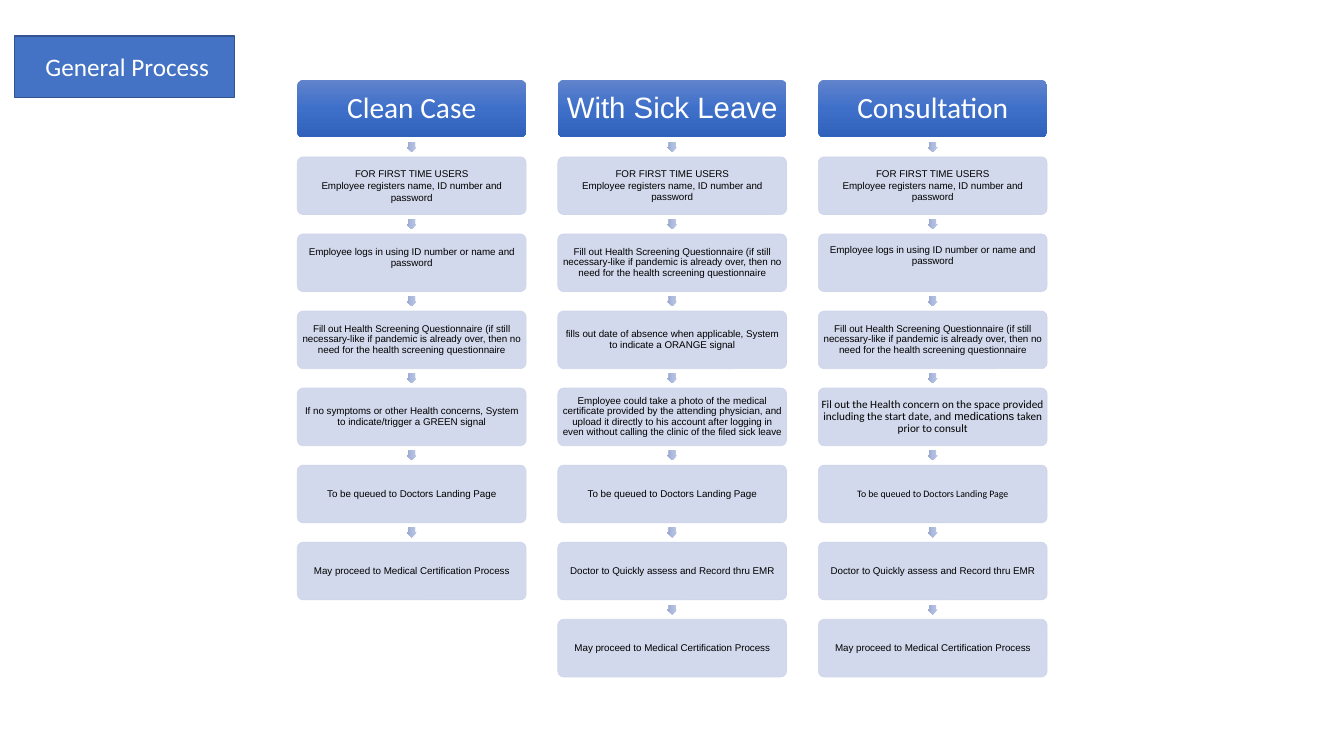
import copy

import pptx
import pptx.dml.color
import pptx.enum.shapes
import pptx.enum.text
import pptx.oxml
import pptx.oxml.ns
import pptx.util

Pt = pptx.util.Pt
SHAPES = pptx.enum.shapes.MSO_SHAPE
CENTER = pptx.enum.text.PP_ALIGN.CENTER
MIDDLE = pptx.enum.text.MSO_ANCHOR.MIDDLE

COLORS = {
    "title": "4472C4", "title_line": "325491", "step": "CFD5EA",
    "white": "FFFFFF", "black": "000000",
}
HEADER_GRADIENT = ["6183CB", "3E70CA", "3062BB"]
ARROW_GRADIENT = ["BBC5E3", "AEBBE0", "98A4CB"]

LEFT, TOP = 212.4, 57
COLUMN_PITCH, ROW_PITCH = 186.1, 55.05
BOX_W, BOX_H = 163.4, 41.2
ARROW = 7.2

TIGHT = {"line_spacing": 0.9, "space_after": Pt(1.5)}
SINGLE = {"line_spacing": 1.0, "space_after": Pt(0)}

REGISTER = ["FOR FIRST TIME USERS", "Employee registers name, ID number and password"]
LOGIN = ["Employee logs in using ID number or name and password"]
SCREENING = ["Fill out Health Screening Questionnaire (if still necessary-like if pandemic "
             "is already over, then no need for the health screening questionnaire"]
QUEUE = ["To be queued to Doctors Landing Page"]
ASSESS = ["Doctor to Quickly assess and Record thru EMR"]
CERTIFY = ["May proceed to Medical Certification Process"]
SIGNAL_GREEN = ["If no symptoms or other Health concerns, System to indicate/trigger "
                "a GREEN signal"]
SIGNAL_ORANGE = ["fills out date of absence when applicable, System to indicate "
                 "a ORANGE signal"]
PHOTO = ["Employee could take a photo of the medical certificate provided by the "
         "attending physician, and upload it directly to his account after logging in "
         "even without calling the clinic of the filed sick leave"]
CONCERN = [[("Fil out the Health concern on the space provided including the start "
             "date, and ", "Calibri"),
            ("medications", "Arial"),
            (" taken prior to consult", "Calibri")]]

# Each process: heading, heading font, steps as (paragraphs, format options)
PROCESSES = [
    ("Clean Case", "Calibri", [
        (REGISTER, {"spacing": SINGLE}), (LOGIN, {"spacing": SINGLE, "lift": 8}),
        (SCREENING, {}), (SIGNAL_GREEN, {}), (QUEUE, {}), (CERTIFY, {})]),
    ("With Sick Leave", "Arial", [
        (REGISTER, {}), (SCREENING, {}), (SIGNAL_ORANGE, {}), (PHOTO, {}),
        (QUEUE, {}), (ASSESS, {}), (CERTIFY, {})]),
    ("Consultation", "Calibri", [
        (REGISTER, {}), (LOGIN, {"lift": 10}), (SCREENING, {}),
        (CONCERN, {"size": 8}), (QUEUE, {"font": "Calibri"}), (ASSESS, {}),
        (CERTIFY, {})]),
]


def rgb(value):
    """Turn a hex string into a colour."""
    return pptx.dml.color.RGBColor.from_string(value)


def set_attrs(obj, values):
    """Set every attribute named in a dict of format values."""
    for name, value in values.items():
        setattr(obj, name, value)


def write_text(sp, paragraphs, font, size, color, margins, spacing=TIGHT):
    """Write centred paragraphs; each is a string or a list of (text, font) runs."""
    tf = sp.text_frame
    sides = ("margin_left", "margin_top", "margin_right", "margin_bottom")
    set_attrs(tf, {side: Pt(m) for side, m in zip(sides, margins)})
    set_attrs(tf, {"word_wrap": True, "vertical_anchor": MIDDLE,
                   "auto_size": pptx.enum.text.MSO_AUTO_SIZE.NONE})
    for i, runs in enumerate(paragraphs):
        p = tf.paragraphs[0] if i == 0 else tf.add_paragraph()
        set_attrs(p, {"alignment": CENTER, **spacing})
        for text, name in [(runs, font)] if isinstance(runs, str) else runs:
            r = p.add_run()
            r.text = text
            set_attrs(r.font, {"name": name, "size": Pt(size)})
            r.font.color.rgb = rgb(COLORS[color])


def fill_gradient(sp, colors):
    """Fill a shape with an even three-colour gradient running downwards."""
    sp.fill.gradient()
    sp.fill.gradient_angle = 270
    stop_list = sp._element.spPr.find(".//" + pptx.oxml.ns.qn("a:gsLst"))
    stop_list.insert(1, copy.deepcopy(stop_list[0]))
    for i, stop in enumerate(sp.fill.gradient_stops):
        stop.position = i / 2
        stop.color.rgb = rgb(colors[i])
    sp.line.fill.background()


def add_title(slide, text):
    """Place the title as a filled box at the upper left."""
    sp = slide.shapes.title
    set_attrs(sp, {"left": Pt(10.4), "top": Pt(25.8),
                   "width": Pt(157), "height": Pt(43.8)})
    sp.fill.solid()
    sp.fill.fore_color.rgb = rgb(COLORS["title"])
    sp.line.color.rgb = rgb(COLORS["title_line"])
    sp.line.width = Pt(1)
    write_text(sp, [text], "Calibri", 18, "white", (4, 0, 0, 0), SINGLE)


def add_box(slide, x, y):
    """Add a rounded box without a shadow."""
    sp = slide.shapes.add_shape(SHAPES.ROUNDED_RECTANGLE,
                                Pt(x), Pt(y), Pt(BOX_W), Pt(BOX_H))
    sp.adjustments[0] = 0.1
    sp.shadow.inherit = False
    return sp


def add_header(slide, x, text, font):
    """Add the heading box of a process."""
    sp = add_box(slide, x, TOP)
    fill_gradient(sp, HEADER_GRADIENT)
    write_text(sp, [text], font, 21, "white", (2, 2, 2, 2))


def add_step(slide, x, y, paragraphs, font="Arial", size=7, spacing=TIGHT, lift=0):
    """Add a slightly transparent step box; lift raises its text."""
    sp = add_box(slide, x, y)
    sp.fill.solid()
    sp.fill.fore_color.rgb = rgb(COLORS["step"])
    sp.line.color.rgb = rgb(COLORS["step"])
    sp.line.width = Pt(0.5)
    for color in sp._element.spPr.iter(pptx.oxml.ns.qn("a:srgbClr")):
        alpha = pptx.oxml.parse_xml(
            '<a:alpha %s val="90000"/>' % pptx.oxml.ns.nsdecls("a"))
        color.append(alpha)
    write_text(sp, paragraphs, font, size, "black", (0.7, 0.7, 0.7, 0.7 + lift), spacing)


def add_arrow(slide, x, y):
    """Add the small arrow midway between the box above and the step at y."""
    gap = ROW_PITCH - BOX_H
    sp = slide.shapes.add_shape(SHAPES.RIGHT_ARROW, Pt(x + (BOX_W - ARROW) / 2),
                                Pt(y - (gap + ARROW) / 2), Pt(ARROW), Pt(ARROW))
    sp.rotation = 90
    sp.adjustments[0] = 0.667
    sp.shadow.inherit = False
    fill_gradient(sp, ARROW_GRADIENT)


def add_process(slide, x, heading, font, steps):
    """Add one column: heading, then arrows and steps."""
    add_header(slide, x, heading, font)
    for row, (paragraphs, options) in enumerate(steps, start=1):
        y = TOP + row * ROW_PITCH
        add_arrow(slide, x, y)
        add_step(slide, x, y, paragraphs, **options)


def main():
    """Build the slide and save it."""
    prs = pptx.Presentation()
    prs.slide_width, prs.slide_height = Pt(960), Pt(540)
    slide = prs.slides.add_slide(prs.slide_layouts[5])
    add_title(slide, "General Process")
    for column, (heading, font, steps) in enumerate(PROCESSES):
        add_process(slide, LEFT + column * COLUMN_PITCH, heading, font, steps)
    prs.save("out.pptx")


main()
